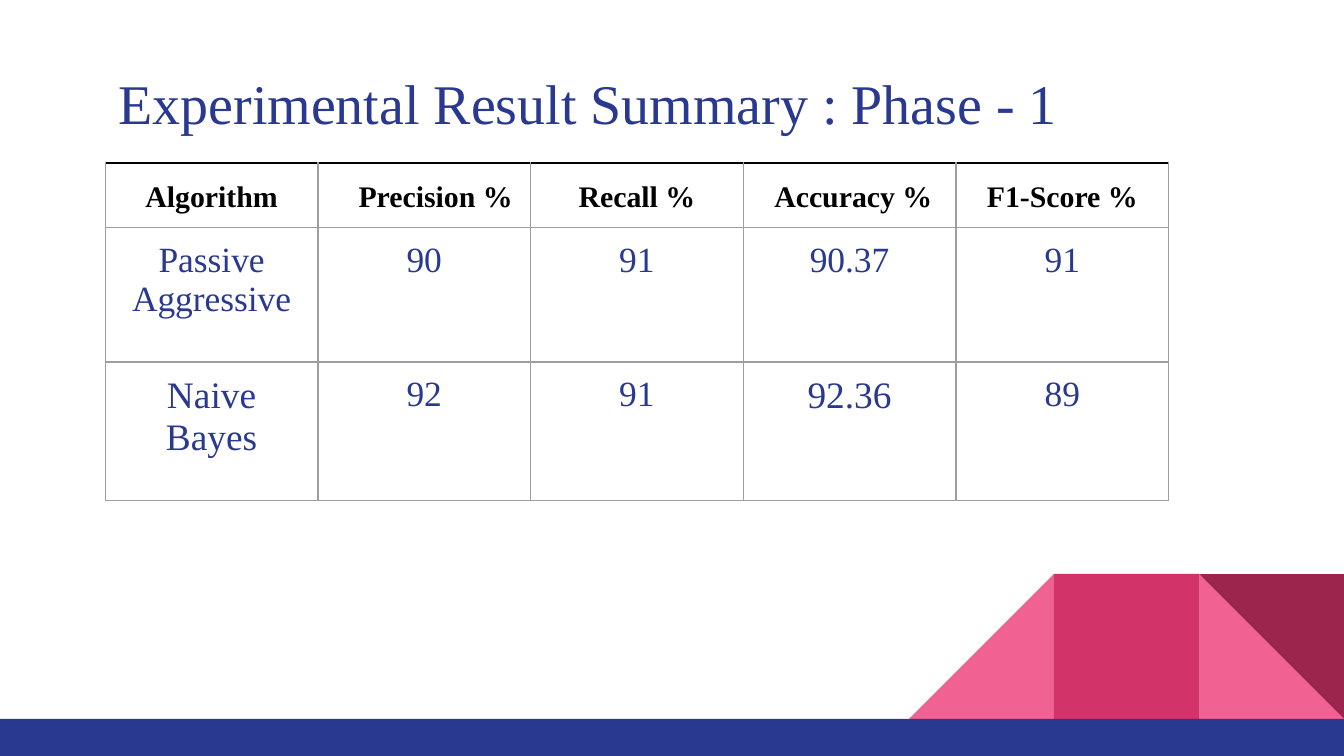
from pptx import Presentation
from pptx.dml.color import RGBColor
from pptx.enum import shapes, text
from pptx.oxml import parse_xml
from pptx.oxml.ns import nsdecls
from pptx.util import Cm, Pt

NAVY = RGBColor(0x2A, 0x39, 0x90)
PINK = RGBColor(0xF0, 0x62, 0x92)
ROSE = RGBColor(0xD2, 0x33, 0x69)
WINE = RGBColor(0x9C, 0x25, 0x4D)
GREY = RGBColor(0x9E, 0x9E, 0x9E)
BLACK = RGBColor(0, 0, 0)
FONT = "Times New Roman"

TITLE = "Experimental Result Summary : Phase - 1"
# heading, left inset of its cell
HEADS = [("Algorithm", 0.13), ("Precision %", 0.56), ("Recall %", 0.13),
         ("Accuracy %", 0.27), ("F1-Score %", 0.13)]
# text, size
ROWS = [
    [("Passive Aggressive", 19), ("90", 19), ("91", 19), ("90.37", 19), ("91", 19)],
    [("Naive Bayes", 20), ("92", 19), ("91", 19), ("92.36", 20), ("89", 19)],
]
HEIGHTS = [1.22, 2.54, 2.62]
LEFT, TOP, COL = 1.99, 3.08, 4.02

WIDE, HIGH = 25.4, 14.29
SIDE, BAR = 2.74, 0.7
BASE = HIGH - BAR
TRI = shapes.MSO_SHAPE.RIGHT_TRIANGLE
RECT = shapes.MSO_SHAPE.RECTANGLE
# preset, places from the right edge, colour, mirrored, turn
TILES = [(TRI, 1, PINK, False, 0), (TRI, 3, PINK, True, 0),
         (RECT, 2, ROSE, False, 0), (TRI, 1, WINE, False, 180)]


def write(frame, words, size, color, bold=False, align=None, line=None, gap=None):
    para = frame.paragraphs[0]
    para.alignment = align
    para.line_spacing = line
    if gap is not None:
        para.space_before = para.space_after = Pt(gap)
    run = para.add_run()
    run.text = words
    font = run.font
    font.name, font.size, font.bold = FONT, Pt(size), bold
    font.color.rgb = color


def block(slide, kind, x, y, w, h, color):
    shape = slide.shapes.add_shape(kind, Cm(x), Cm(y), Cm(w), Cm(h))
    shape.shadow.inherit = False
    shape.fill.solid()
    shape.fill.fore_color.rgb = color
    shape.line.fill.background()
    return shape


def edge(cell, top=(GREY, 0.75)):
    """Draw the four borders of a cell and leave it unfilled."""
    props = cell._tc.get_or_add_tcPr()
    for side in "LRTB":
        color, width = top if side == "T" else (GREY, 0.75)
        props.append(parse_xml(
            f'<a:ln{side} {nsdecls("a")} w="{Pt(width)}"><a:solidFill>'
            f'<a:srgbClr val="{color}"/></a:solidFill></a:ln{side}>'))
    cell.fill.background()


def inset(cell, left, right):
    cell.margin_left, cell.margin_right = Cm(left), Cm(right)
    cell.margin_top = cell.margin_bottom = Cm(0.25)


def decor(slide):
    for kind, place, color, flip, turn in TILES:
        tile = block(slide, kind, WIDE - place * SIDE, BASE - SIDE, SIDE, SIDE, color)
        tile.rotation = turn
        if flip:
            tile._element.spPr.xfrm.set("flipH", "1")
    block(slide, RECT, 0, BASE, WIDE, BAR, NAVY)


def head(slide):
    title = slide.shapes.title
    title.left, title.top, title.width, title.height = map(Cm, (1.99, 0.92, 23.67, 1.67))
    frame = title.text_frame
    frame.auto_size = text.MSO_AUTO_SIZE.NONE
    frame.vertical_anchor = text.MSO_ANCHOR.TOP
    frame.margin_left = frame.margin_right = Cm(0.25)
    frame.margin_top, frame.margin_bottom = Cm(0.38), Cm(0)
    write(frame, TITLE, 30, NAVY, align=text.PP_ALIGN.LEFT)


def scores(slide):
    table = slide.shapes.add_table(
        len(HEIGHTS), len(HEADS), Cm(LEFT), Cm(TOP),
        Cm(COL * len(HEADS)), Cm(sum(HEIGHTS))).table
    table.first_row = table.horz_banding = False
    for row, high in zip(table.rows, HEIGHTS):
        row.height = Cm(high)
    mid = text.PP_ALIGN.CENTER
    for c, (words, left) in enumerate(HEADS):
        cell = table.cell(0, c)
        inset(cell, left, 0.13)
        edge(cell, top=(BLACK, 1.5))
        write(cell.text_frame, words, 16, BLACK, bold=True, align=mid, line=1.15, gap=12)
    for r, row in enumerate(ROWS, 1):
        for c, (words, size) in enumerate(row):
            cell = table.cell(r, c)
            inset(cell, 0.25, 0.25)
            edge(cell)
            write(cell.text_frame, words, size, NAVY, align=mid)


def main():
    deck = Presentation()
    deck.slide_width, deck.slide_height = Cm(WIDE), Cm(HIGH)
    slide = deck.slides.add_slide(deck.slide_layouts[5])
    decor(slide)
    head(slide)
    scores(slide)
    deck.save("out.pptx")


if __name__ == "__main__":
    main()
